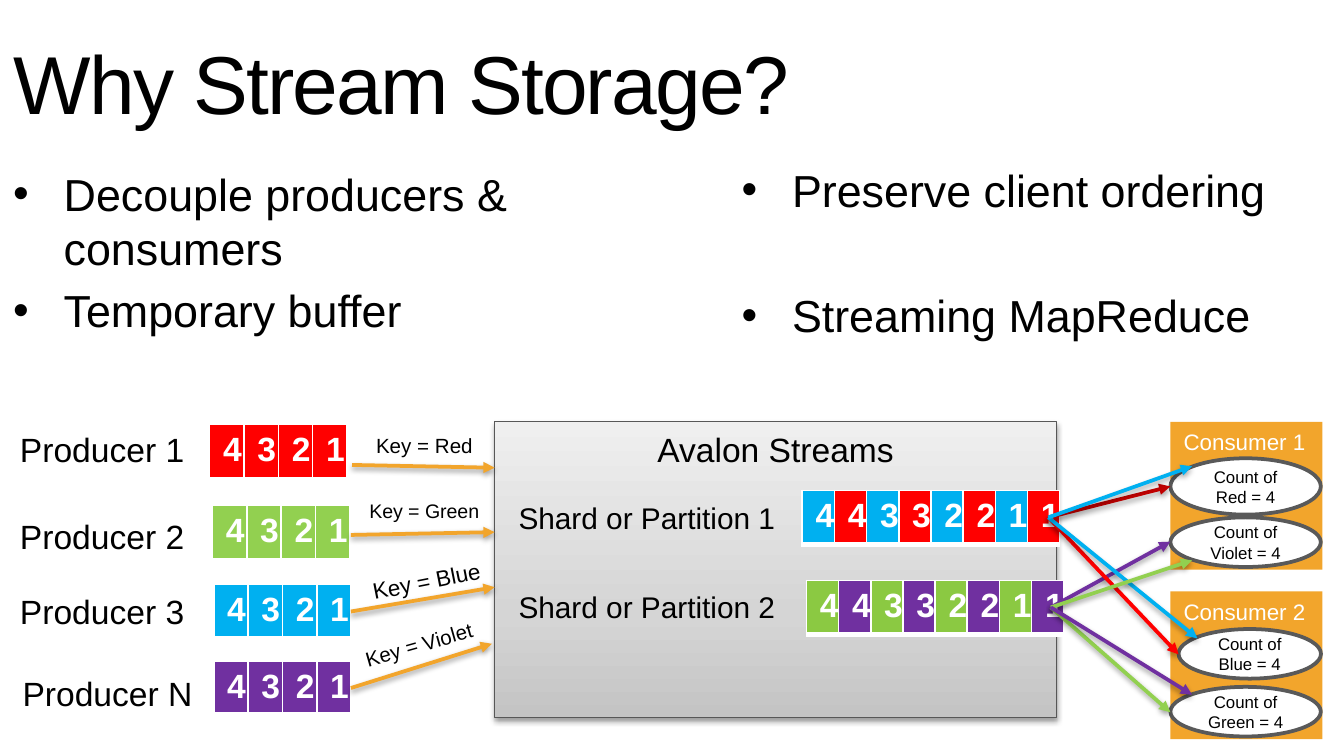
from copy import deepcopy

from lxml import etree
from pptx import Presentation
from pptx.dml.color import RGBColor
from pptx.enum.shapes import MSO_CONNECTOR, MSO_SHAPE
from pptx.enum.text import MSO_ANCHOR, MSO_AUTO_SIZE, PP_ALIGN
from pptx.oxml.ns import qn
from pptx.util import Pt

RECT, OVAL = MSO_SHAPE.RECTANGLE, MSO_SHAPE.OVAL
STRAIGHT = MSO_CONNECTOR.STRAIGHT
TOP, MIDDLE = MSO_ANCHOR.TOP, MSO_ANCHOR.MIDDLE
LEFT, CENTER = PP_ALIGN.LEFT, PP_ALIGN.CENTER
NO_FIT, GROW = MSO_AUTO_SIZE.NONE, MSO_AUTO_SIZE.SHAPE_TO_FIT_TEXT

COLORS = {
    "black": "000000", "white": "FFFFFF", "orange": "F2A52C",
    "red": "FF0000", "dark red": "C00000", "green": "92D050",
    "deep green": "8BC942", "blue": "00B0F0", "violet": "7030A0",
    "outline": "595959", "panel edge": "575757",
    "panel dark": "C4C4C4", "panel mid": "D5D5D5", "panel light": "EFEFEF",
}

PRODUCERS = [
    ("Producer 1", 3.6, 226, "red", 112.3, 227.5, 29.5),
    ("Producer 2", 3.6, 273, "green", 113.8, 270.7, 29.5),
    ("Producer 3", 3.6, 313, "blue", 114.5, 313.2, 28),
    ("Producer N", 5, 357, "violet", 114.5, 354.2, 28),
]
KEYS = [
    ("Key = Red", (194.4, 228.2, 67, 21), 11, 0, (188.6, 249.1), (265, 250.6)),
    ("Key = Green", (190.8, 263.5, 80, 21), 10.5, 0, (188, 286.6), (265, 285.1)),
    ("Key = Blue", (192.2, 300.2, 73.4, 21.6), 12, -11.2, (188, 327.6), (265, 314.6)),
    ("Key = Violet", (187.9, 334.8, 74.2, 21), 11, -15.9, (188, 368.6), (263.5, 344.9)),
]
PARTITIONS = [
    ("Shard or Partition 1", 264.2, ("blue", "red"), 429.8, 262.8),
    ("Shard or Partition 2", 311.8, ("deep green", "violet"), 432, 311),
]
CONSUMERS = [
    ("Consumer 1", 226, [("Count of Red = 4", (627, 245.5, 80.6, 30.2)),
                         ("Count of Violet = 4", (627, 277.2, 80.6, 26.6))]),
    ("Consumer 2", 316.8, [("Count of Blue = 4", (631.4, 337, 76.3, 26.6)),
                           ("Count of Green = 4", (627, 368, 80.6, 26.6))]),
]
FIRST_OUT, SECOND_OUT = (561.6, 277.2), (563, 325.4)
FIRST_SHADE = {"opacity": 35, "distance": 1.8}
ROUTES = [
    (SECOND_OUT, (627, 290.2), "violet", {}),
    (FIRST_OUT, (627, 260.6), "dark red", FIRST_SHADE),
    (FIRST_OUT, (631.4, 350.6), "red", FIRST_SHADE),
    (SECOND_OUT, (627, 381.6), "green", {}),
    (FIRST_OUT, (641.5, 342), "blue", FIRST_SHADE),
    (FIRST_OUT, (638.6, 249.8), "blue", FIRST_SHADE),
    (SECOND_OUT, (638.6, 300.2), "green", {}),
    (SECOND_OUT, (638.6, 372.2), "violet", {}),
]


def rgb(color):
    return RGBColor.from_string(COLORS[color])


def apply(target, values):
    for name, value in values.items():
        setattr(target, name, value)


def points(*lengths):
    return [Pt(length) for length in lengths]


def write(paragraph, words, size, color="black", bold=False, align=LEFT):
    run = paragraph.add_run()
    run.text = words
    apply(run.font, {"size": Pt(size), "name": "Arial", "bold": bold})
    run.font.color.rgb = rgb(color)
    paragraph.alignment = align
    return run


def add_shadow(properties, opacity=38, distance=1.6):
    effects = etree.SubElement(properties, qn("a:effectLst"))
    shadow = etree.SubElement(effects, qn("a:outerShdw"), blurRad=str(Pt(3.1)),
                              dist=str(Pt(distance)), dir="5400000", rotWithShape="0")
    shade = etree.SubElement(shadow, qn("a:srgbClr"), val=COLORS["black"])
    etree.SubElement(shade, qn("a:alpha"), val=str(opacity * 1000))


def add_title(slide, words):
    title = slide.shapes.title
    apply(title, dict(zip(("left", "top", "width", "height"), points(0, 10, 666, 67.7))))
    apply(title.text_frame, {"vertical_anchor": MIDDLE, "word_wrap": True, "auto_size": NO_FIT})
    run = write(title.text_frame.paragraphs[0], words, 44)
    run.font._element.set("spc", "-100")


def add_bullets(slide, box, items, gap):
    frame = slide.shapes.add_textbox(*points(*box)).text_frame
    frame.word_wrap = True
    for index, item in enumerate(items):
        paragraph = frame.add_paragraph() if index else frame.paragraphs[0]
        properties = paragraph._p.get_or_add_pPr()
        properties.set("marL", str(Pt(27)))
        properties.set("indent", str(Pt(-27)))
        etree.SubElement(properties, qn("a:buFont"), typeface="Arial")
        etree.SubElement(properties, qn("a:buChar"), char="•")
        paragraph.space_before = Pt(gap if index else 0)
        write(paragraph, item, 24)


def add_label(slide, box, words, size, rotation=0):
    label = slide.shapes.add_textbox(*points(*box))
    label.rotation = rotation
    apply(label.text_frame, {"word_wrap": False, "auto_size": GROW})
    write(label.text_frame.paragraphs[0], words, size)


def add_block(slide, kind, box, words, size, color, fill=None, edge=None,
              anchor=TOP, align=LEFT):
    block = slide.shapes.add_shape(kind, *points(*box))
    if fill:
        block.shadow.inherit = False
        block.fill.solid()
        block.fill.fore_color.rgb = rgb(fill)
    if edge:
        block.line.color.rgb = rgb(edge[0])
        block.line.width = Pt(edge[1])
    else:
        block.line.fill.background()
    apply(block.text_frame, {"vertical_anchor": anchor, "word_wrap": True})
    write(block.text_frame.paragraphs[0], words, size, color, align=align)
    return block


def add_panel(slide):
    panel = add_block(slide, RECT, (265, 226, 301, 158.4), "Avalon Streams", 18, "black",
                      edge=("panel edge", 0.75), align=CENTER)
    panel.fill.gradient()
    panel.fill.gradient_angle = 90
    stops = panel._element.spPr.find(".//" + qn("a:gsLst"))
    stops.append(deepcopy(stops[-1]))
    shades = [(0, "panel dark"), (0.35, "panel mid"), (1, "panel light")]
    for stop, (position, shade) in zip(panel.fill.gradient_stops, shades):
        stop.position = position
        stop.color.rgb = rgb(shade)
    add_shadow(panel._element.spPr)


def add_borders(cell):
    properties = cell._tc.get_or_add_tcPr()
    for index, (side, width) in enumerate([("L", 1), ("R", 1), ("T", 1), ("B", 3)]):
        border = etree.Element(qn("a:ln" + side), w=str(Pt(width)))
        paint = etree.SubElement(border, qn("a:solidFill"))
        etree.SubElement(paint, qn("a:srgbClr"), val=COLORS["white"])
        properties.insert(index, border)


def add_records(slide, left, top, column, row, fills):
    count = len(fills)
    table = slide.shapes.add_table(1, count, *points(left, top, column * count, row)).table
    table.rows[0].height = Pt(row)
    for index, fill in enumerate(fills):
        table.columns[index].width = Pt(column)
        cell = table.cell(0, index)
        cell.fill.solid()
        cell.fill.fore_color.rgb = rgb(fill)
        add_borders(cell)
        number = 4 - index * 4 // count
        write(cell.text_frame.paragraphs[0], str(number), 18, "white", bold=True)


def add_arrow(slide, start, end, color, shade):
    arrow = slide.shapes.add_connector(STRAIGHT, *points(*start, *end))
    arrow.line.color.rgb = rgb(color)
    arrow.line.width = Pt(2)
    properties = arrow._element.spPr
    etree.SubElement(properties.find(qn("a:ln")), qn("a:tailEnd"), type="triangle")
    add_shadow(properties, **shade)


def main():
    deck = Presentation()
    apply(deck, {"slide_width": Pt(720), "slide_height": Pt(405)})
    slide = deck.slides.add_slide(deck.slide_layouts[5])
    add_panel(slide)
    add_title(slide, "Why Stream Storage?")
    add_bullets(slide, (0, 85.7, 329.8, 97.2),
                ["Decouple producers & consumers", "Temporary buffer"], 4.8)
    add_bullets(slide, (390.2, 83.5, 329.8, 120.2),
                ["Preserve client ordering", "Streaming MapReduce"], 38.5)
    for words, top, fills, left, records_top in PARTITIONS:
        add_records(slide, left, records_top, 16.4, 28, fills * 4)
        add_label(slide, (270.7, top, 154, 26.6), words, 16)
    for words, left, top, fill, records_left, records_top, row in PRODUCERS:
        add_records(slide, records_left, records_top, 18.4, row, [fill] * 4)
        add_label(slide, (left, top, 107, 29), words, 18)
    for words, top, counts in CONSUMERS:
        add_block(slide, RECT, (627, top, 81.4, 79.2), words, 12, "white", "orange")
        for count, box in counts:
            add_block(slide, OVAL, box, count, 9, "black", "white", ("outline", 2),
                      MIDDLE, CENTER)
    for route in ROUTES:
        add_arrow(slide, *route)
    for words, box, size, rotation, start, end in KEYS:
        add_label(slide, box, words, size, rotation)
        add_arrow(slide, start, end, "orange", {})
    deck.save("out.pptx")


if __name__ == "__main__":
    main()
